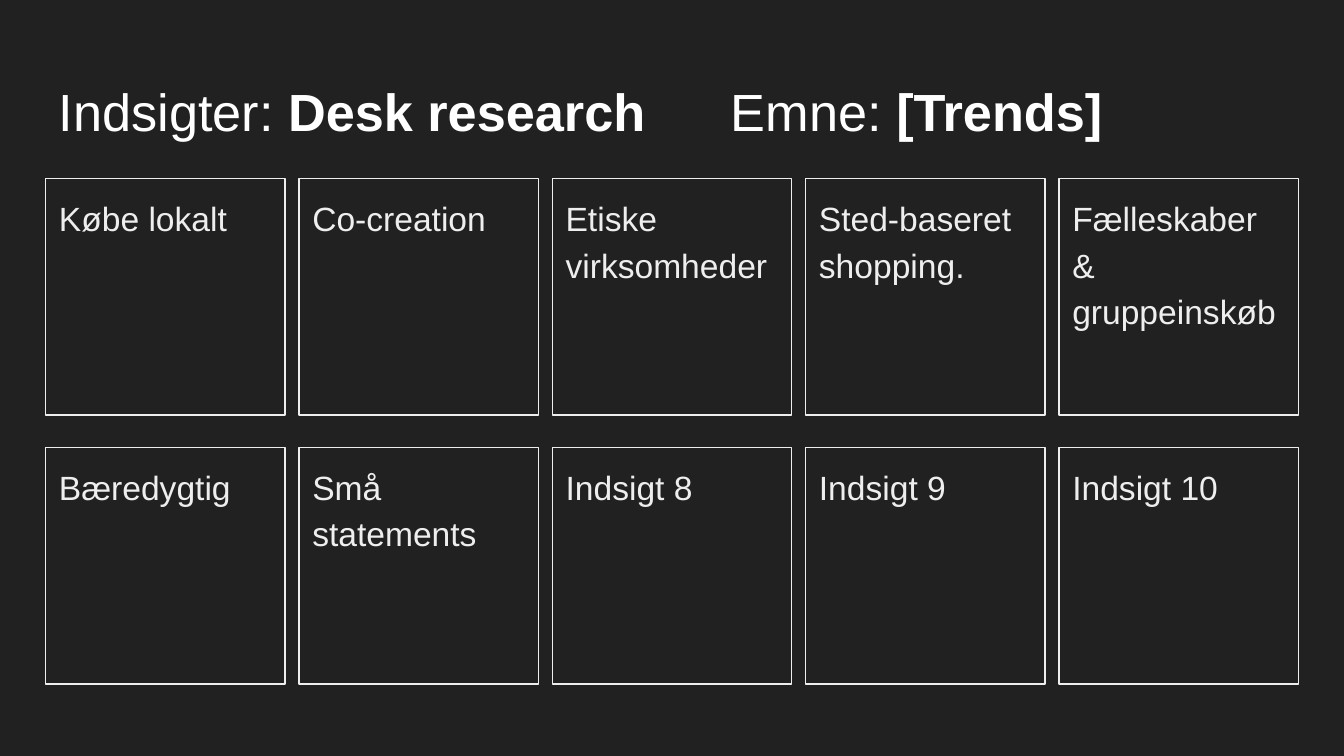
from lxml import etree
from pptx import Presentation
from pptx.dml.color import RGBColor
from pptx.enum.shapes import MSO_SHAPE
from pptx.enum.text import MSO_ANCHOR, PP_ALIGN
from pptx.oxml.ns import qn
from pptx.util import Inches, Pt

RECTANGLE = MSO_SHAPE.RECTANGLE
TOP = MSO_ANCHOR.TOP
LEFT = PP_ALIGN.LEFT

BACKGROUND = RGBColor(0x21, 0x21, 0x21)
WHITE = RGBColor(0xFF, 0xFF, 0xFF)
LIGHT_GRAY = RGBColor(0xEE, 0xEE, 0xEE)
FONT = "Arial"

# Layout in inches
SLIDE_WIDTH = 10
SLIDE_HEIGHT = SLIDE_WIDTH * 9 / 16
MARGIN = 0.34
CONTENT_WIDTH = SLIDE_WIDTH - 2 * MARGIN
CARD_WIDTH, CARD_HEIGHT = 1.78, 1.76
CARDS_TOP, ROW_PITCH = 1.33, 2
TOPIC_TAB = 5

TITLE = [
    ("Indsigter:", False),
    (" Desk research\t", True),
    ("Emne:", False),
    (" [Trends]", True),
]
INSIGHTS = [
    ["Købe lokalt", "Co-creation", "Etiske virksomheder",
     "Sted-baseret shopping.", "Fælleskaber & gruppeinskøb"],
    ["Bæredygtig", "Små statements", "Indsigt 8", "Indsigt 9", "Indsigt 10"],
]


def write_text(shape, runs, size, color, line_spacing=1.0, space_after=0):
    """Fill a shape with one paragraph of (text, bold) runs."""
    frame = shape.text_frame
    frame.word_wrap = True
    frame.vertical_anchor = TOP
    frame.margin_left = frame.margin_right = Inches(0.1)
    frame.margin_top = frame.margin_bottom = Inches(0.1)
    paragraph = frame.paragraphs[0]
    paragraph.alignment = LEFT
    paragraph.line_spacing = line_spacing
    paragraph.space_after = Pt(space_after)
    for text, bold in runs:
        run = paragraph.add_run()
        run.text = text
        run.font.name = FONT
        run.font.size = Pt(size)
        run.font.bold = bold
        run.font.color.rgb = color
    return paragraph


def add_tab_stop(paragraph, position):
    properties = paragraph._p.get_or_add_pPr()
    tab_list = etree.SubElement(properties, qn("a:tabLst"))
    etree.SubElement(tab_list, qn("a:tab"), pos=str(Inches(position)), algn="l")


def add_title(slide):
    box = slide.shapes.add_textbox(
        Inches(MARGIN), Inches(0.49), Inches(CONTENT_WIDTH), Inches(0.63))
    paragraph = write_text(box, TITLE, size=28, color=WHITE)
    add_tab_stop(paragraph, TOPIC_TAB)


def add_card(slide, left, top, text):
    card = slide.shapes.add_shape(
        RECTANGLE, Inches(left), Inches(top),
        Inches(CARD_WIDTH), Inches(CARD_HEIGHT))
    card.shadow.inherit = False
    card.fill.background()
    card.line.color.rgb = LIGHT_GRAY
    card.line.width = Pt(0.75)
    write_text(card, [(text, False)], size=18, color=LIGHT_GRAY,
               line_spacing=1.15, space_after=16)


def add_card_grid(slide):
    # Cards spread evenly from margin to margin
    column_pitch = (CONTENT_WIDTH - CARD_WIDTH) / (len(INSIGHTS[0]) - 1)
    for row, texts in enumerate(INSIGHTS):
        for column, text in enumerate(texts):
            add_card(slide, MARGIN + column * column_pitch,
                     CARDS_TOP + row * ROW_PITCH, text)


def main():
    presentation = Presentation()
    presentation.slide_width = Inches(SLIDE_WIDTH)
    presentation.slide_height = Inches(SLIDE_HEIGHT)
    slide = presentation.slides.add_slide(presentation.slide_layouts[6])

    # Dark background
    slide.background.fill.solid()
    slide.background.fill.fore_color.rgb = BACKGROUND

    # Heading and insight cards
    add_title(slide)
    add_card_grid(slide)
    presentation.save("out.pptx")


if __name__ == "__main__":
    main()
